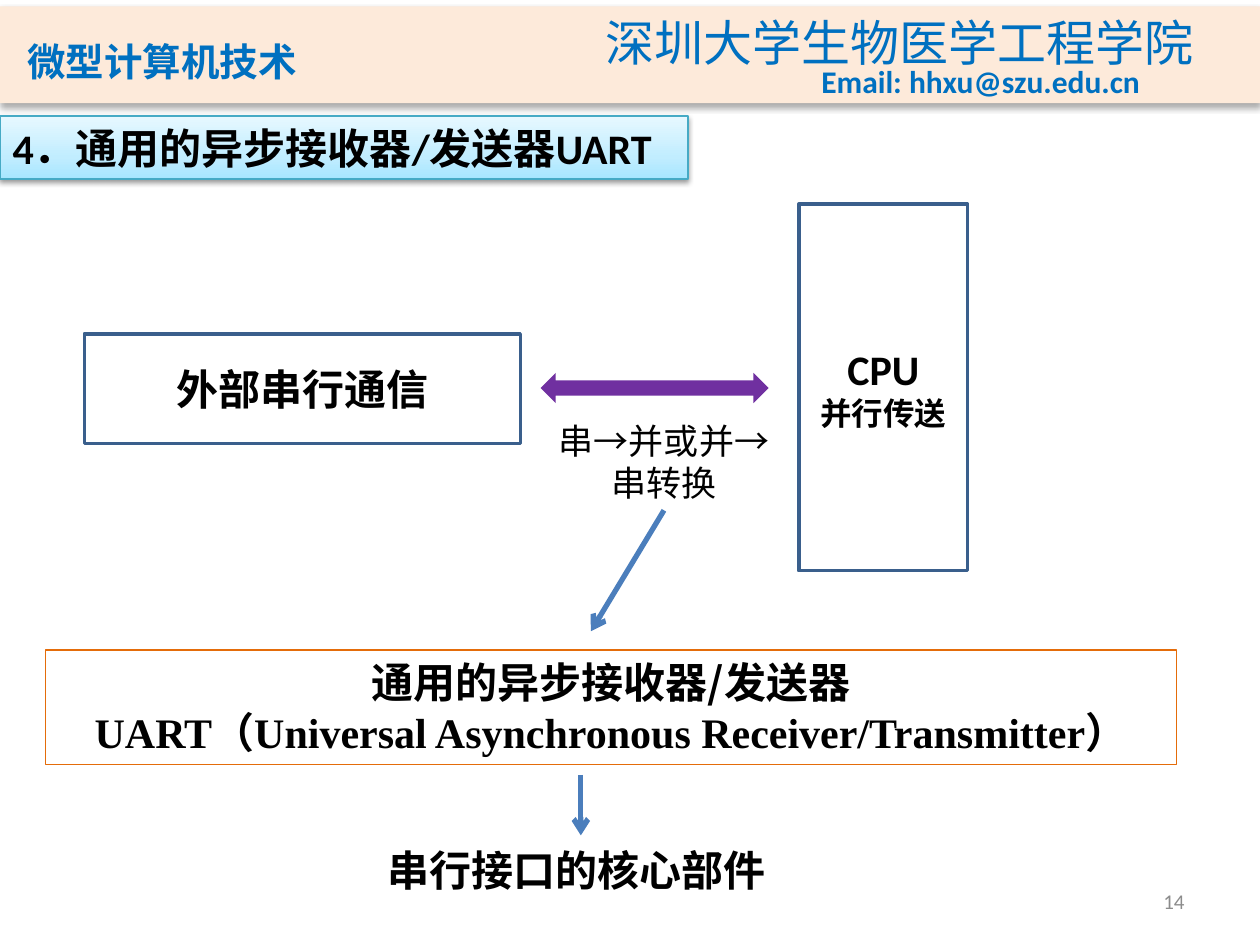
from copy import deepcopy
from dataclasses import dataclass

from lxml.etree import SubElement
from pptx import Presentation
from pptx.dml.color import RGBColor
from pptx.enum.shapes import MSO_CONNECTOR, MSO_SHAPE
from pptx.enum.text import MSO_ANCHOR as Anchor, MSO_AUTO_SIZE, PP_ALIGN as Align
from pptx.oxml.ns import qn
from pptx.util import Inches, Pt


@dataclass(frozen=True)
class Theme:
    black: str = "000000"
    white: str = "FFFFFF"
    band: str = "FDEADA"
    header: str = "0070C0"
    page: str = "8C8C8C"
    heading_line: str = "46AAC5"
    heading_stops: tuple = ((0, "A7E6FF"), (0.35, "C1EDFF"), (1, "E7F8FF"))
    block_line: str = "3A5F8C"
    exchange: str = "7030A0"
    uart_line: str = "E46C0A"
    arrow: str = "4B7EBC"
    latin: str = "Calibri"
    serif: str = "Times New Roman"
    cjk: str = "Noto Sans CJK SC"
    cjk_alt: str = "Noto Sans CJK JP"
    school: int = 28
    main: int = 24
    course: int = 22
    label: int = 20
    small: int = 18
    number: int = 12


THEME = Theme()


def color(code):
    return RGBColor.from_string(code)


def line(text, size=THEME.main, code=THEME.black, bold=True,
         latin=THEME.latin, cjk=THEME.cjk):
    """Describe one paragraph."""
    return text, size, code, bold, latin, cjk


def write(shape, lines, align=Align.LEFT, anchor=Anchor.TOP, wrap=True):
    frame = shape.text_frame
    frame.auto_size = MSO_AUTO_SIZE.NONE
    frame.word_wrap = wrap
    frame.vertical_anchor = anchor
    frame.text = "\n".join(item[0] for item in lines)
    for paragraph, (_, size, code, bold, latin, cjk) in zip(frame.paragraphs, lines):
        paragraph.alignment = align
        font = paragraph.font
        font.size, font.bold, font.name = Pt(size), bold, latin
        font.color.rgb = color(code)
        # East Asian characters take their own typeface
        defaults = paragraph._p.pPr.find(qn("a:defRPr"))
        SubElement(defaults, qn("a:ea"), typeface=cjk)


def add_text(slide, box, lines, **layout):
    shape = slide.shapes.add_textbox(*map(Inches, box))
    write(shape, lines, **layout)
    return shape


def add_block(slide, box, fill=None, outline=None, width=2, kind=MSO_SHAPE.RECTANGLE):
    shape = slide.shapes.add_shape(kind, *map(Inches, box))
    shape.shadow.inherit = False
    if fill:
        shape.fill.solid()
        shape.fill.fore_color.rgb = color(fill)
    else:
        shape.fill.background()
    if outline:
        shape.line.color.rgb = color(outline)
        shape.line.width = Pt(width)
    else:
        shape.line.fill.background()
    return shape


def add_shadow(shape, blur, distance, opacity):
    shape.shadow.inherit = False
    effects = shape._element.spPr.find(qn("a:effectLst"))
    shadow = SubElement(effects, qn("a:outerShdw"), blurRad=str(Pt(blur)),
                        dist=str(Pt(distance)), dir="5400000", rotWithShape="0")
    black = SubElement(shadow, qn("a:srgbClr"), val=THEME.black)
    SubElement(black, qn("a:alpha"), val=str(opacity * 1000))


def add_arrow(slide, start, end, source=None):
    arrow = slide.shapes.add_connector(MSO_CONNECTOR.STRAIGHT, *map(Inches, start + end))
    if source is not None:
        arrow.begin_connect(source, 2)
    arrow.line.color.rgb = color(THEME.arrow)
    arrow.line.width = Pt(3)
    SubElement(arrow.line._get_or_add_ln(), qn("a:tailEnd"), type="arrow")
    SubElement(arrow._element.spPr, qn("a:effectLst"))


def format_heading(heading):
    heading.left, heading.top, heading.width, heading.height = map(
        Inches, (0, 0.92, 5.46, 0.5))
    fill = heading.fill
    fill.gradient()
    fill.gradient_angle = 90
    stop_list = heading._element.spPr.find(".//" + qn("a:gsLst"))
    stop_list.insert(1, deepcopy(stop_list[0]))
    for stop, (position, code) in zip(fill.gradient_stops, THEME.heading_stops):
        stop.position = position
        stop.color.rgb = color(code)
    heading.line.color.rgb = color(THEME.heading_line)
    heading.line.width = Pt(0.75)
    add_shadow(heading, 3.1, 1.6, 38)
    write(heading, [line("4．通用的异步接收器/发送器UART")])


def add_header(slide):
    band = add_block(slide, (0, 0.05, 10, 0.77), THEME.band)
    add_shadow(band, 3.5, 2.2, 32)
    add_text(slide, (0.12, 0.16, 3.39, 0.56),
             [line("微型计算机技术", THEME.course, THEME.header, cjk=THEME.cjk_alt)],
             anchor=Anchor.BOTTOM)
    add_text(slide, (4.71, 0.05, 4.91, 0.57),
             [line("深圳大学生物医学工程学院", THEME.school, THEME.header, False)],
             wrap=False)
    add_text(slide, (6.42, 0.44, 2.75, 0.4),
             [line("Email: hhxu@szu.edu.cn", THEME.small, THEME.header)], wrap=False)


def add_diagram(slide):
    # Serial side, CPU side and the exchange between them
    serial = add_block(slide, (0.67, 2.65, 3.46, 0.87), THEME.white, THEME.block_line)
    write(serial, [line("外部串行通信")], Align.CENTER, Anchor.MIDDLE)
    cpu = add_block(slide, (6.34, 1.62, 1.34, 2.91), THEME.white, THEME.block_line)
    write(cpu, [line("CPU"), line("并行传送", THEME.small)], Align.CENTER, Anchor.MIDDLE)
    add_block(slide, (4.29, 2.96, 1.81, 0.24), THEME.exchange,
              kind=MSO_SHAPE.LEFT_RIGHT_ARROW)
    conversion = add_text(slide, (4.2, 3.28, 2.14, 0.77),
                          [line("串→并或并→串转换", THEME.label, bold=False)],
                          align=Align.CENTER)

    # UART and its role
    uart = add_block(slide, (0.36, 5.16, 8.98, 0.91), outline=THEME.uart_line, width=0.75)
    write(uart, [line("通用的异步接收器/发送器", latin=THEME.cjk),
                 line("UART（Universal Asynchronous Receiver/Transmitter）",
                      latin=THEME.serif)], Align.CENTER)
    add_text(slide, (2.98, 6.65, 3.25, 0.5), [line("串行接口的核心部件")], wrap=False)
    add_arrow(slide, (5.27, 4.05), (4.69, 5.01), conversion)
    add_arrow(slide, (4.61, 6.15), (4.61, 6.63))


def main():
    deck = Presentation()
    deck.slide_width, deck.slide_height = Inches(10), Inches(7.5)
    slide = deck.slides.add_slide(deck.slide_layouts[5])
    add_header(slide)
    format_heading(slide.shapes.title)
    add_diagram(slide)
    # Page number
    add_text(slide, (7.17, 6.95, 2.33, 0.4),
             [line("14", THEME.number, THEME.page, False)],
             align=Align.RIGHT, anchor=Anchor.MIDDLE)
    deck.save("out.pptx")


if __name__ == "__main__":
    main()
